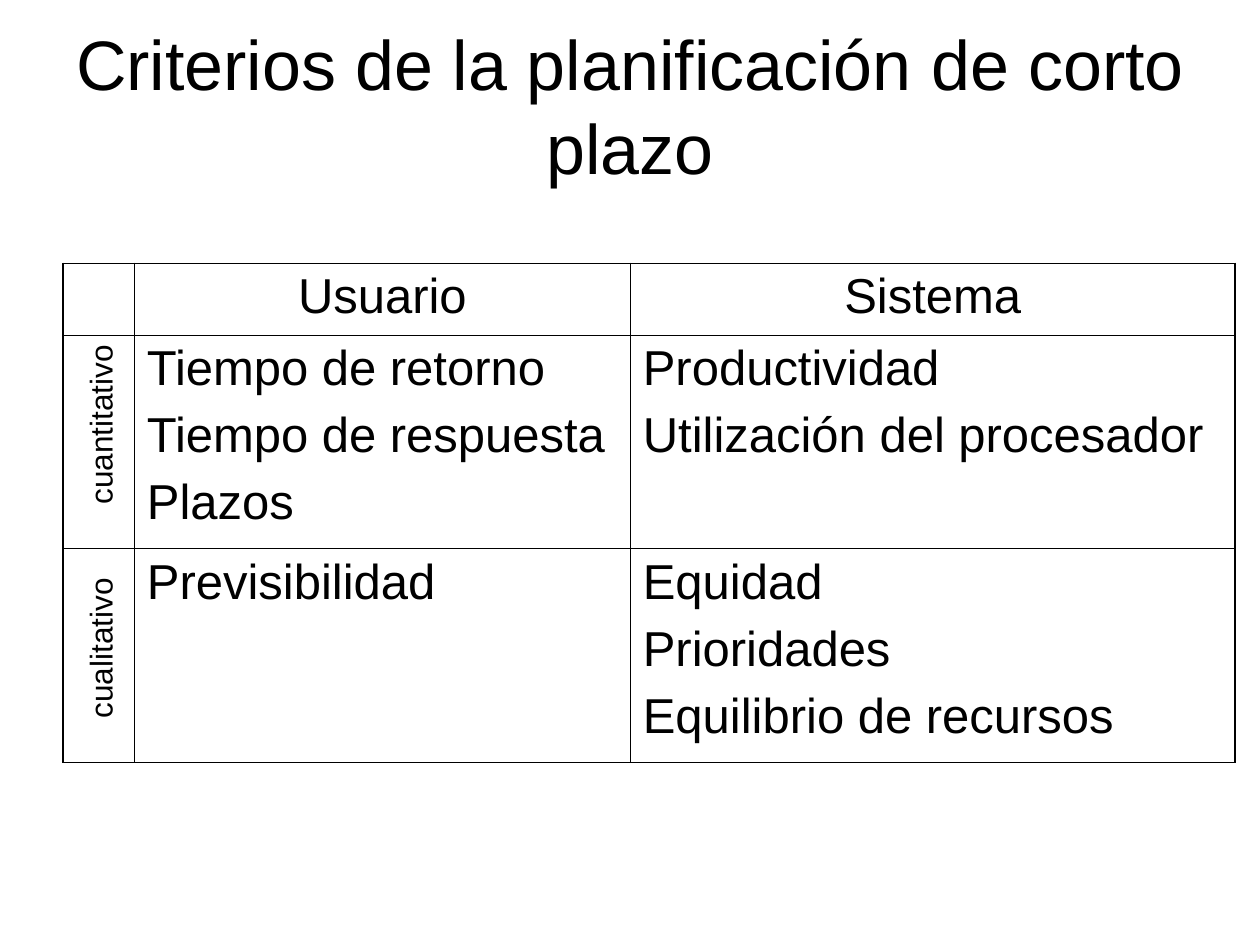
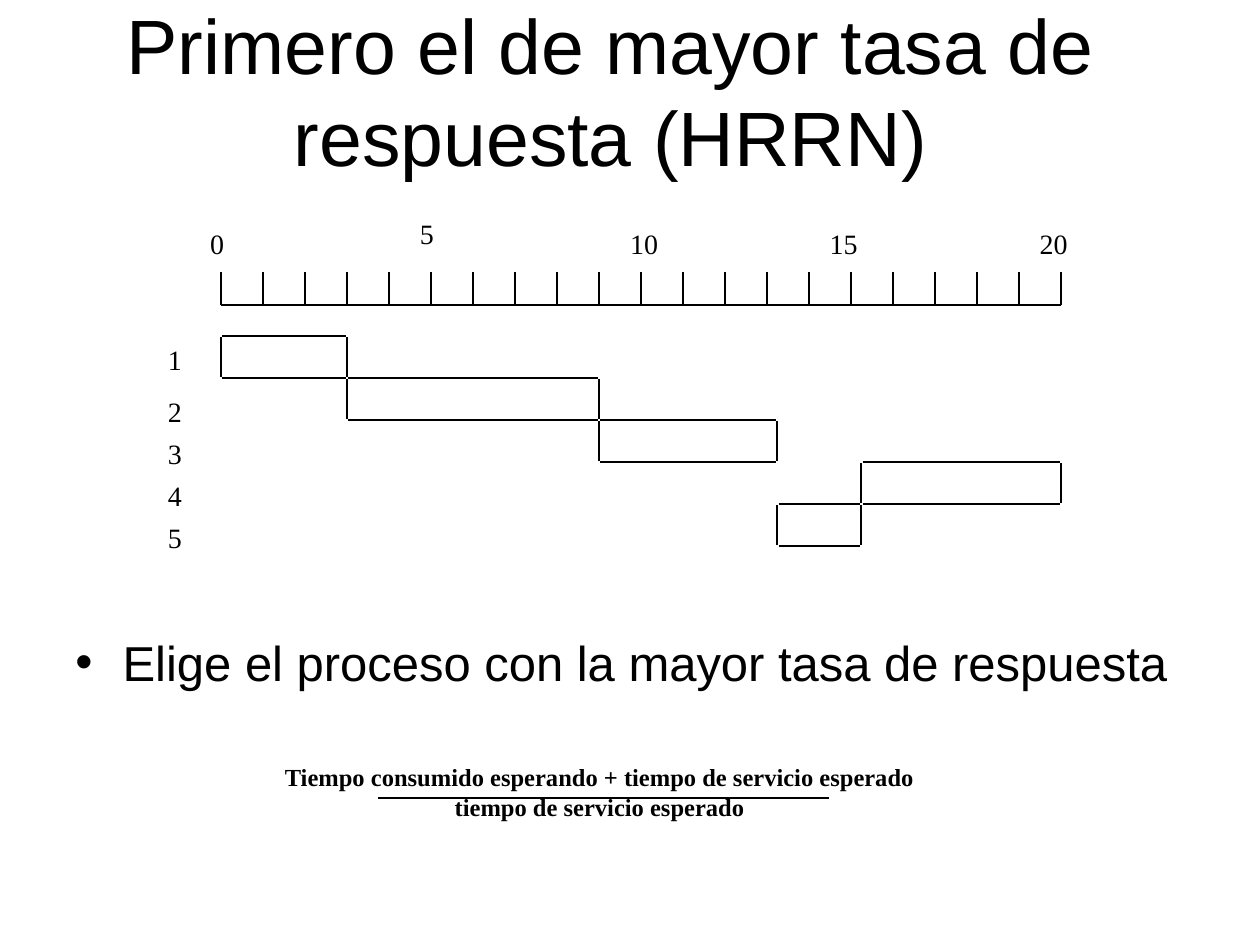
from dataclasses import dataclass
from lxml.etree import SubElement
from pptx import Presentation
from pptx.dml.color import RGBColor
from pptx.enum.shapes import MSO_CONNECTOR
from pptx.enum.text import MSO_ANCHOR, MSO_AUTO_SIZE, PP_ALIGN
from pptx.oxml import parse_xml
from pptx.oxml.ns import nsdecls, qn
from pptx.util import Pt


@dataclass(frozen=True)
class Theme:
    ink: RGBColor = RGBColor(0, 0, 0)
    paper: RGBColor = RGBColor(255, 255, 255)
    sans: str = "Arial"
    serif: str = "Times New Roman"
    body: int = 28
    side: int = 18
    label: int = 16
    formula: int = 14
    line: float = 0.99
    thin: float = 0.45
    thick: float = 1.08


T = Theme()

# Time scale of the Gantt diagram: one time unit and one row are 24 pt
UNIT, ORIGIN_X, ROWS_Y = 24, 126.2, 192
AXIS_Y, TICK_Y, LAST_TIME = 174.2, 155.5, 20


def write(tf, text, *, size=T.body, font=T.sans, bold=False,
          align=PP_ALIGN.LEFT, before=0):
    """Fill a text frame, one paragraph for each line of text."""
    for i, line in enumerate(text.split("\n")):
        p = tf.paragraphs[0] if i == 0 else tf.add_paragraph()
        p.alignment = align
        p.space_before = Pt(before)
        r = p.add_run()
        r.text = line
        r.font.size, r.font.name, r.font.bold = Pt(size), font, bold
        r.font.color.rgb = T.ink


def add_text(s, text, x, y, w, h, *, wrap=True, anchor=MSO_ANCHOR.TOP,
             rotation=0, **fmt):
    sp = s.shapes.add_textbox(Pt(x), Pt(y), Pt(w), Pt(h))
    sp.rotation = rotation
    tf = sp.text_frame
    tf.word_wrap = wrap
    if not wrap:
        tf.auto_size = MSO_AUTO_SIZE.SHAPE_TO_FIT_TEXT
    tf.vertical_anchor = anchor
    write(tf, text, **fmt)
    return sp


def add_title(s, text, x, y, w, size):
    add_text(s, text, x, y, w, 90, size=size, align=PP_ALIGN.CENTER,
             anchor=MSO_ANCHOR.BOTTOM)


def add_label(s, text, x, y):
    width = 14.5 + 8 * len(text)  # insets plus the digits
    add_text(s, text, x, y, width, 26, wrap=False, size=T.label,
             font=T.serif)


def add_bullet(s, text, x, y, w, h, indent=27):
    sp = add_text(s, text, x, y, w, h)
    pPr = sp.text_frame.paragraphs[0]._p.get_or_add_pPr()
    pPr.set("marL", str(Pt(indent)))
    pPr.set("indent", str(-Pt(indent)))
    SubElement(pPr, qn("a:buFont")).set("typeface", T.sans)
    SubElement(pPr, qn("a:buChar")).set("char", "•")


def add_line(s, x1, y1, x2, y2):
    c = s.shapes.add_connector(MSO_CONNECTOR.STRAIGHT,
                               Pt(x1), Pt(y1), Pt(x2), Pt(y2))
    c.line.color.rgb = T.ink
    c.line.width = Pt(T.line)
    SubElement(c._element.spPr, qn("a:effectLst"))


def add_bar(s, row, start, end):
    """Outline the time that one process runs, with open corners."""
    left, right = (ORIGIN_X + UNIT * t for t in (start, end))
    top = ROWS_Y + UNIT * row
    bottom = top + UNIT
    gap = 0.7
    for x in (left, right):
        add_line(s, x, top + gap, x, bottom - gap)
    for y in (top, bottom):
        add_line(s, left + gap, y, right - gap, y)


def set_borders(cell, **widths):
    tcPr = cell._tc.get_or_add_tcPr()
    for i, side in enumerate("LRTB"):
        tcPr.insert(i, parse_xml(
            f'<a:ln{side} {nsdecls("a")} w="{Pt(widths[side])}">'
            f'<a:solidFill><a:srgbClr val="{T.ink}"/></a:solidFill>'
            f'</a:ln{side}>'))


def add_grid(s, rows, x, y, widths, heights):
    last_row, last_col = len(heights) - 1, len(widths) - 1
    frame = s.shapes.add_table(len(heights), len(widths), Pt(x), Pt(y),
                               Pt(sum(widths)), Pt(sum(heights)))
    table = frame.table
    table.first_row = table.horz_banding = False
    for col, w in zip(table.columns, widths):
        col.width = Pt(w)
    for row, h in zip(table.rows, heights):
        row.height = Pt(h)
    for i, texts in enumerate(rows):
        for j, text in enumerate(texts):
            cell = table.cell(i, j)
            cell.margin_left = cell.margin_right = Pt(7.2)
            cell.margin_top = cell.margin_bottom = Pt(3.6)
            cell.fill.background()
            # Outer edges are thick, inner ones thin
            edges = {"L": j == 0, "R": j == last_col,
                     "T": i == 0, "B": i == last_row}
            set_borders(cell, **{k: T.thick if outer else T.thin
                                 for k, outer in edges.items()})
            if text:
                write(cell.text_frame, text, before=7,
                      align=PP_ALIGN.LEFT if i else PP_ALIGN.CENTER)


def new_slide(prs):
    s = prs.slides.add_slide(prs.slide_layouts[6])
    s.background.fill.solid()
    s.background.fill.fore_color.rgb = T.paper
    return s


def criteria_slide(prs):
    s = new_slide(prs)
    add_title(s, "Criterios de la planificación de corto plazo",
              36, 21.2, 648, 40)
    rows = [
        ("", "Usuario", "Sistema"),
        ("", "Tiempo de retorno\nTiempo de respuesta\nPlazos",
         "Productividad\nUtilización del procesador"),
        ("", "Previsibilidad",
         "Equidad\nPrioridades\nEquilibrio de recursos"),
    ]
    add_grid(s, rows, 36, 150.5, (40.8, 283.4, 345.6), (41, 122, 122))
    # Row headings, turned on their side around one centre line
    for text, y, w in (("cualitativo", 355.7, 95),
                       ("cuantitativo", 227.5, 107)):
        add_text(s, text, 57.2 - w / 2, y, w, 28.8, wrap=False,
                 rotation=270, size=T.side)


def hrrn_slide(prs):
    s = new_slide(prs)
    add_title(s, "Primero el de mayor tasa de respuesta (HRRN)",
              31.8, 17.6, 634.3, 44)
    add_bullet(s, "Elige el proceso con la mayor tasa de respuesta",
               36, 357.7, 648, 122)

    # Response ratio
    add_text(s, "Tiempo consumido esperando + tiempo de servicio esperado\n"
             "tiempo de servicio esperado", 155.5, 432, 374.4, 41,
             wrap=False, size=T.formula, font=T.serif, bold=True,
             align=PP_ALIGN.CENTER)
    add_line(s, 216, 456, 473.8, 456)

    # Process bars and their numbers
    bars = [(0, 3), (3, 9), (9, 13.25), (15.25, 20), (13.25, 15.25)]
    for row, (start, end) in enumerate(bars):
        add_bar(s, row, start, end)
        add_label(s, str(row + 1), 88.8,
                  ROWS_Y + UNIT * row + (6 if row else 0))

    # Time axis
    add_line(s, ORIGIN_X, AXIS_Y, ORIGIN_X + UNIT * LAST_TIME, AXIS_Y)
    for t in range(LAST_TIME + 1):
        x = ORIGIN_X + UNIT * t
        add_line(s, x, AXIS_Y, x, TICK_Y)
    for time, x, y in ((0, 113, 126), (5, 232.8, 120), (10, 353, 126),
                       (15, 467, 126), (20, 587, 126)):
        add_label(s, str(time), x, y)


def main():
    prs = Presentation()
    prs.slide_width, prs.slide_height = Pt(720), Pt(540)
    criteria_slide(prs)
    hrrn_slide(prs)
    prs.save("out.pptx")


main()
